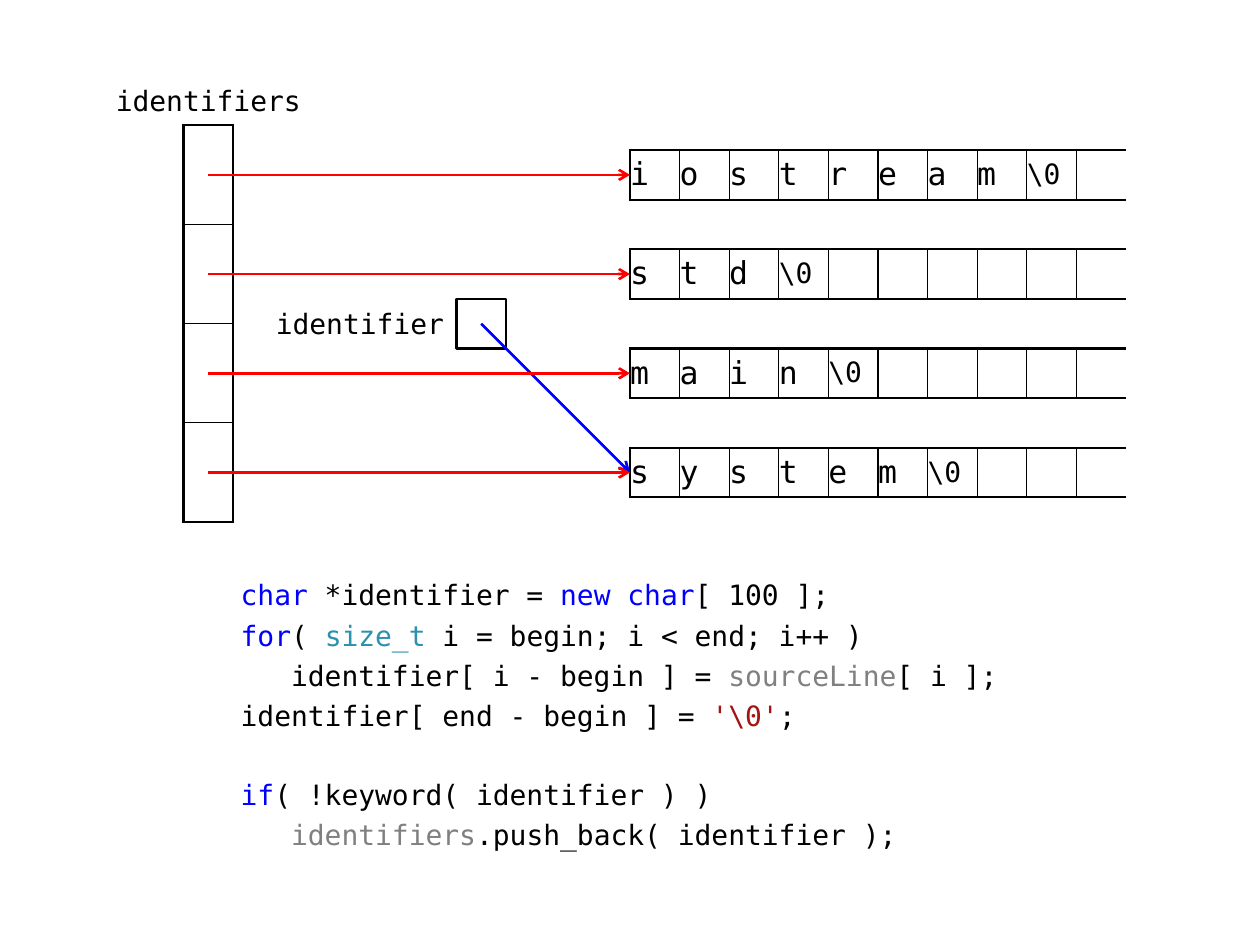
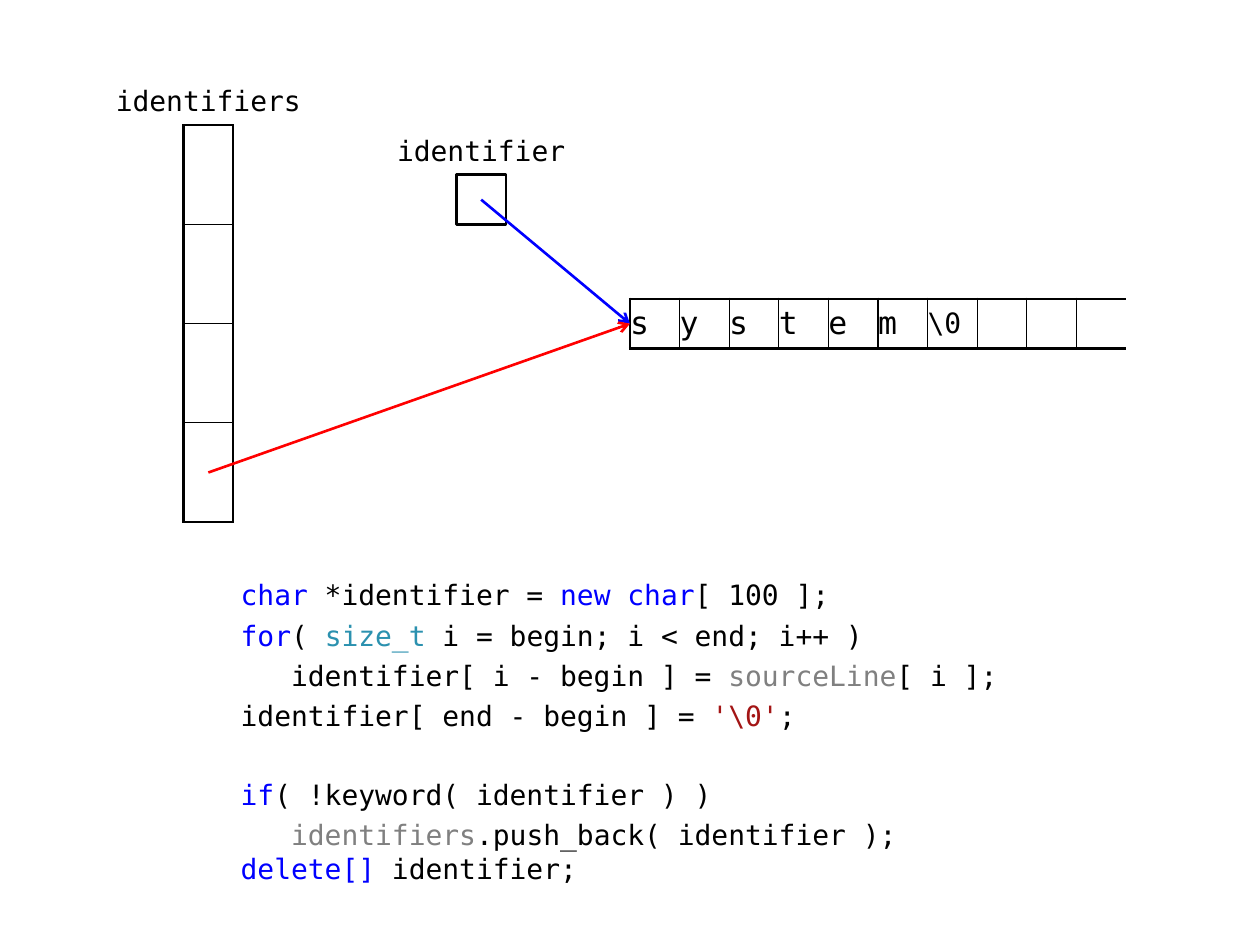
from lxml.etree import SubElement
from pptx import Presentation
from pptx.dml.color import RGBColor
from pptx.enum.shapes import MSO_CONNECTOR, MSO_SHAPE
from pptx.enum.text import MSO_ANCHOR, MSO_AUTO_SIZE, PP_ALIGN
from pptx.oxml.ns import qn
from pptx.util import Cm, Inches, Pt

FONT = "DejaVu Sans Mono"
BLACK, WHITE, RED, BLUE = "000000", "FFFFFF", "FF0000", "0000FF"
TEAL, GREY, BROWN = "2B91AF", "808080", "A31515"
WIDTH, HEIGHT = Inches(10), Inches(7.5)
THICK, THIN = 1.5, 0.75
CODE_SIZE, LETTER_SIZE = 16, 18
LINE_GAP, BLOCK_GAP = 3.75, 26

ARRAY_COLUMN, ARRAY_ROW, ARRAY_CELLS, ARRAY_STEP = -9, -7, 4, 2
BUFFER_CELLS = 10
BOX_COLUMN = -3.5
END_MARK = r"\0"

# Each line: space before in points, then its coloured runs.
CODE = [
    (0, [("char", BLUE), (" *identifier = ", BLACK), ("new char", BLUE), ("[ 100 ];", BLACK)]),
    (LINE_GAP, [("for", BLUE), ("( ", BLACK), ("size_t", TEAL), (" i = begin; i < end; i++ )", BLACK)]),
    (LINE_GAP, [("   identifier[ i - begin ] = ", BLACK), ("sourceLine", GREY), ("[ i ];", BLACK)]),
    (LINE_GAP, [("identifier[ end - begin ] = ", BLACK), (r"'\0'", BROWN), (";", BLACK)]),
    (BLOCK_GAP, [("if", BLUE), ("( !keyword( identifier ) )", BLACK)]),
    (LINE_GAP, [("   ", BLACK), ("identifiers", GREY), (".push_back( identifier );", BLACK)]),
]
DELETE_LINE = (0, [("delete[]", BLUE), (" identifier;", BLACK)])


def color(value):
    return RGBColor.from_string(value)


def point(column, row):
    """Place on a one-centimetre grid whose origin is the slide's centre."""
    return WIDTH // 2 + Cm(column), HEIGHT // 2 + Cm(row)


def frame(column, row, columns, rows):
    return (*point(column, row), Cm(columns), Cm(rows))


def add_span(para, text, size=CODE_SIZE, shade=BLACK):
    span = para.add_run()
    span.text = text
    span.font.name = FONT
    span.font.size = Pt(size)
    span.font.color.rgb = color(shade)


def add_code(page, lines):
    body = page.placeholders[1]
    body.left, body.top, body.width, body.height = frame(-8, 2, 16, 6.5)
    text = body.text_frame
    text.auto_size = MSO_AUTO_SIZE.NONE
    text.vertical_anchor = MSO_ANCHOR.TOP
    text.margin_left, text.margin_right = Inches(0.06), Inches(0.04)
    text.margin_top = text.margin_bottom = Inches(0.05)
    for index, (gap, spans) in enumerate(lines):
        para = text.add_paragraph() if index else text.paragraphs[0]
        para.space_before = Pt(gap)
        properties = para._p.get_or_add_pPr()
        properties.set("marL", "0")
        properties.set("indent", "0")
        SubElement(properties, qn("a:buNone"))
        for words, shade in spans:
            add_span(para, words, shade=shade)


def add_label(page, words, column, row, columns, align=PP_ALIGN.CENTER):
    box = page.shapes.add_textbox(*frame(column, row, columns, 1))
    text = box.text_frame
    text.word_wrap = True
    text.vertical_anchor = MSO_ANCHOR.MIDDLE
    para = text.paragraphs[0]
    para.alignment = align
    add_span(para, words)


def set_borders(cell, **widths):
    """Draw the sides L, R, T, B in points; a width of 0 leaves a side open."""
    properties = cell._tc.get_or_add_tcPr()
    for side in "LRTB":
        line = SubElement(properties, qn(f"a:ln{side}"), w=str(Pt(widths[side])))
        if widths[side]:
            fill = SubElement(line, qn("a:solidFill"))
            SubElement(fill, qn("a:srgbClr"), val=BLACK)
        else:
            SubElement(line, qn("a:noFill"))


def add_cells(page, column, row, columns, rows, step=1, right=THICK):
    """Add a grid of cells with a thick outline and thin inner lines."""
    graphic = page.shapes.add_table(rows, columns, *frame(column, row, columns, rows * step))
    table = graphic.table
    table.first_row = table.horz_banding = False
    for line in table.rows:
        line.height = Cm(step)
    for strip in table.columns:
        strip.width = Cm(1)
    for r in range(rows):
        for c in range(columns):
            cell = table.cell(r, c)
            cell.margin_left = cell.margin_right = cell.margin_top = cell.margin_bottom = 0
            cell.vertical_anchor = MSO_ANCHOR.MIDDLE
            set_borders(cell,
                        L=THIN if c else THICK,
                        R=right if c == columns - 1 else THIN,
                        T=THIN if r else THICK,
                        B=THICK if r == rows - 1 else THIN)
            cell.fill.background()
    return graphic


def add_buffer(page, word, row):
    """Add a character buffer, open at its right end."""
    graphic = add_cells(page, 0, row, BUFFER_CELLS, 1, right=0)
    for index, letter in enumerate([*word, END_MARK]):
        size = CODE_SIZE if letter == END_MARK else LETTER_SIZE
        add_span(graphic.table.cell(0, index).text_frame.paragraphs[0], letter, size)
    return graphic


def add_pointer_box(page, row):
    box = page.shapes.add_shape(MSO_SHAPE.RECTANGLE, *frame(BOX_COLUMN, row, 1, 1))
    box.shadow.inherit = False
    box.fill.solid()
    box.fill.fore_color.rgb = color(WHITE)
    box.line.color.rgb = color(BLACK)
    box.line.width = Pt(THICK)


def add_arrow(page, column, row, buffer, shade):
    """Point from a grid place to the left side of a buffer."""
    start = point(column, row)
    arrow = page.shapes.add_connector(MSO_CONNECTOR.STRAIGHT, *start, *start)
    arrow.end_connect(buffer, 1)
    arrow.line.color.rgb = color(shade)
    arrow.line.width = Pt(THICK)
    properties = arrow._element.spPr
    SubElement(properties.find(qn("a:ln")), qn("a:tailEnd"), type="arrow")
    SubElement(properties, qn("a:effectLst"))


def add_array_arrow(page, index, buffer):
    row = ARRAY_ROW + (index + 0.5) * ARRAY_STEP
    add_arrow(page, ARRAY_COLUMN + 0.5, row, buffer, RED)


def add_identifier(page, row, buffer):
    add_pointer_box(page, row)
    add_arrow(page, BOX_COLUMN + 0.5, row + 0.5, buffer, BLUE)


def add_page(deck, code):
    """Start a slide with the code and the array of identifiers."""
    page = deck.slides.add_slide(deck.slide_layouts[1])
    title = page.shapes.title._element
    title.getparent().remove(title)
    add_code(page, code)
    add_label(page, "identifiers", -11, ARRAY_ROW - 1, 5)
    add_cells(page, ARRAY_COLUMN, ARRAY_ROW, 1, ARRAY_CELLS, ARRAY_STEP)
    return page


def add_buffers_page(deck):
    page = add_page(deck, CODE)
    words = ["iostream", "std", "main", "system"]
    buffers = [add_buffer(page, word, ARRAY_ROW + 0.5 + index * ARRAY_STEP)
               for index, word in enumerate(words)]
    add_label(page, "identifier", -7.5, -3.5, 4, PP_ALIGN.RIGHT)
    add_identifier(page, -3.5, buffers[-1])
    for index, buffer in enumerate(buffers):
        add_array_arrow(page, index, buffer)


def add_delete_page(deck):
    page = add_page(deck, [*CODE, DELETE_LINE])
    buffer = add_buffer(page, "system", -3.5)
    add_label(page, "identifier", -5, -7, 4)
    add_identifier(page, -6, buffer)
    add_array_arrow(page, ARRAY_CELLS - 1, buffer)


def main():
    deck = Presentation()
    deck.slide_width, deck.slide_height = WIDTH, HEIGHT
    add_buffers_page(deck)
    add_delete_page(deck)
    deck.save("out.pptx")


if __name__ == "__main__":
    main()
